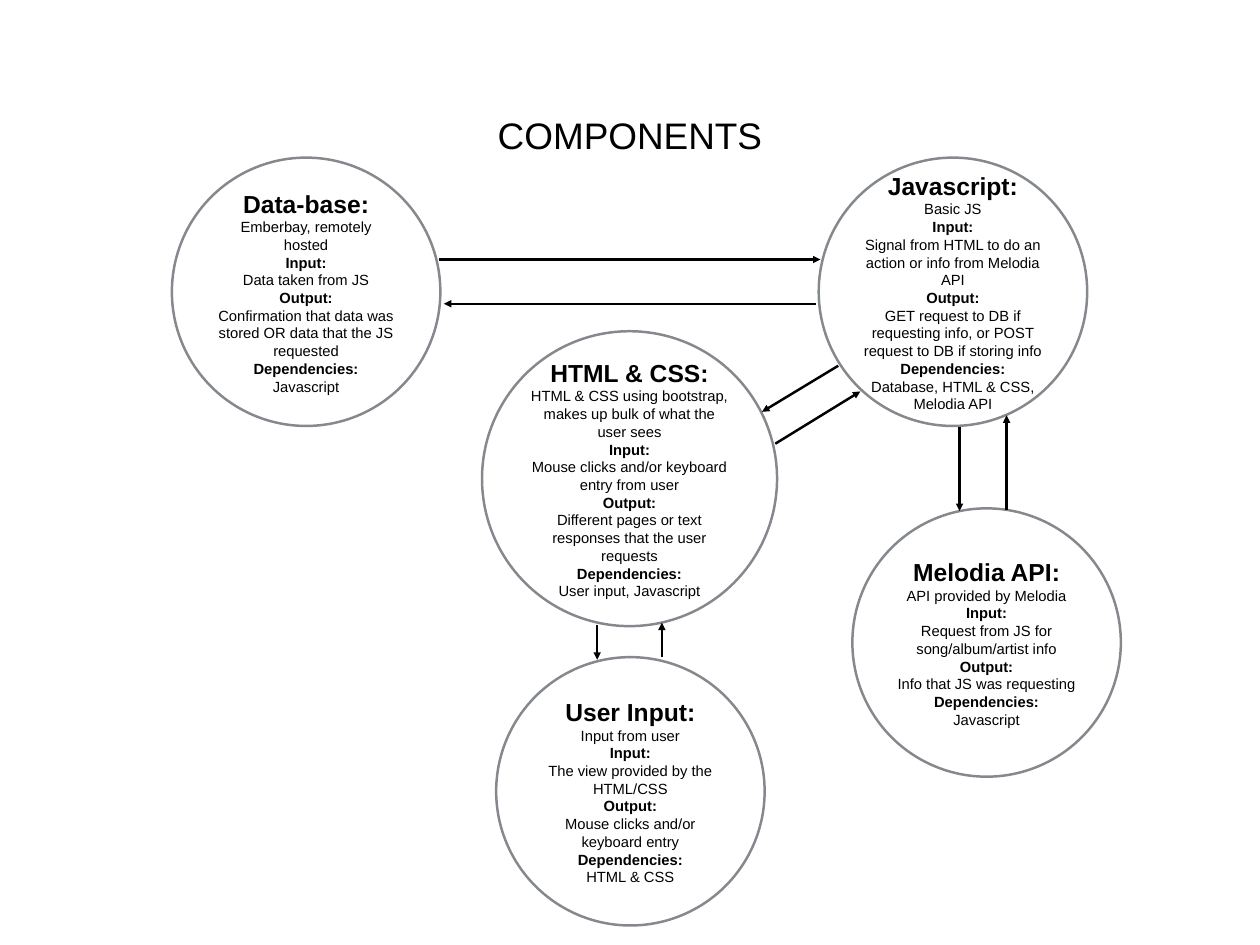
from dataclasses import dataclass

from lxml import etree
from pptx import Presentation
from pptx import util as u
from pptx.dml.color import RGBColor
from pptx.enum import shapes, text
from pptx.oxml import ns


@dataclass(frozen=True)
class Theme:
    font: str = "Arial"
    ink: RGBColor = RGBColor(0x00, 0x00, 0x00)
    outline: RGBColor = RGBColor(0x85, 0x88, 0x8D)
    title_size: int = 30
    heading_size: int = 20
    body_size: int = 12
    line_width: int = 2
    inset: float = 0.06


class ComponentDiagram:
    """Draws titled circles and arrows on one slide in a shared theme."""

    def __init__(self, slide, theme):
        self.slide = slide
        self.theme = theme

    def prepare_frame(self, frame):
        frame.word_wrap = True
        frame.auto_size = text.MSO_AUTO_SIZE.NONE
        frame.vertical_anchor = text.MSO_ANCHOR.MIDDLE
        inset = u.Inches(self.theme.inset)
        frame.margin_left = frame.margin_right = inset
        frame.margin_top = frame.margin_bottom = inset

    def fill_paragraph(self, paragraph, wording, size, bold=False):
        paragraph.text = wording
        paragraph.alignment = text.PP_ALIGN.CENTER
        paragraph.font.name = self.theme.font
        paragraph.font.size = u.Pt(size)
        paragraph.font.bold = bold
        paragraph.font.color.rgb = self.theme.ink

    def title(self, wording, left, top, width, height):
        shape = self.slide.shapes.title
        shape.left, shape.top = u.Inches(left), u.Inches(top)
        shape.width, shape.height = u.Inches(width), u.Inches(height)
        self.prepare_frame(shape.text_frame)
        self.fill_paragraph(shape.text_frame.paragraphs[0], wording, self.theme.title_size)

    def component(self, left, top, diameter, name, summary, *details):
        shape = self.slide.shapes.add_shape(
            shapes.MSO_SHAPE.OVAL,
            u.Inches(left), u.Inches(top), u.Inches(diameter), u.Inches(diameter))
        shape.shadow.inherit = False
        shape.fill.background()
        shape.line.color.rgb = self.theme.outline
        shape.line.width = u.Pt(self.theme.line_width)
        frame = shape.text_frame
        self.prepare_frame(frame)
        self.fill_paragraph(frame.paragraphs[0], f"{name}:", self.theme.heading_size, True)
        self.fill_paragraph(frame.add_paragraph(), summary, self.theme.body_size)
        for label, detail in zip(("Input:", "Output:", "Dependencies:"), details):
            self.fill_paragraph(frame.add_paragraph(), label, self.theme.body_size, True)
            self.fill_paragraph(frame.add_paragraph(), detail, self.theme.body_size)

    def arrow(self, *ends):
        connector = self.slide.shapes.add_connector(
            shapes.MSO_CONNECTOR.STRAIGHT, *(u.Inches(end) for end in ends))
        connector.line.color.rgb = self.theme.ink
        connector.line.width = u.Pt(self.theme.line_width)
        properties = connector._element.spPr
        line = properties.find(ns.qn("a:ln"))
        etree.SubElement(line, ns.qn("a:tailEnd"), type="triangle")
        etree.SubElement(properties, ns.qn("a:effectLst"))


COMPONENTS = [
    (5.44, 3.74, 3.33, "HTML & CSS",
     "HTML & CSS using bootstrap, makes up bulk of what the user sees",
     "Mouse clicks and/or keyboard entry from user",
     "Different pages or text responses that the user requests",
     "User input, Javascript"),
    (1.94, 1.78, 3.03, "Data-base",
     "Emberbay, remotely hosted",
     "Data taken from JS",
     "Confirmation that data was stored OR data that the JS requested",
     "Javascript"),
    (9.24, 1.78, 3.03, "Javascript",
     "Basic JS",
     "Signal from HTML to do an action or info from Melodia API",
     "GET request to DB if requesting info, or POST request to DB if storing info",
     "Database, HTML & CSS, Melodia API"),
    (5.6, 7.42, 3.03, "User Input",
     "Input from user",
     "The view provided by the HTML/CSS",
     "Mouse clicks and/or keyboard entry",
     "HTML & CSS"),
    (9.62, 5.74, 3.03, "Melodia API",
     "API provided by Melodia",
     "Request from JS for song/album/artist info",
     "Info that JS was requesting",
     "Javascript"),
]

ARROWS = [
    (4.96, 2.93, 9.26, 2.93),
    (9.21, 3.43, 5.01, 3.43),
    (9.46, 4.13, 8.6, 4.65),
    (8.75, 5.01, 9.71, 4.42),
    (7.47, 7.42, 7.47, 7.03),
    (6.74, 7.06, 6.74, 7.45),
    (11.36, 5.76, 11.36, 4.69),
    (10.83, 4.82, 10.83, 5.77),
]


def main():
    presentation = Presentation()
    presentation.slide_width = u.Inches(14.22)
    presentation.slide_height = u.Inches(10.67)
    title_only = presentation.slide_layouts.get_by_name("Title Only")
    diagram = ComponentDiagram(presentation.slides.add_slide(title_only), Theme())
    diagram.title("COMPONENTS", 1.04, 0.99, 12.14, 1.07)
    for component in COMPONENTS:
        diagram.component(*component)
    for ends in ARROWS:
        diagram.arrow(*ends)
    presentation.save("out.pptx")


if __name__ == "__main__":
    main()
